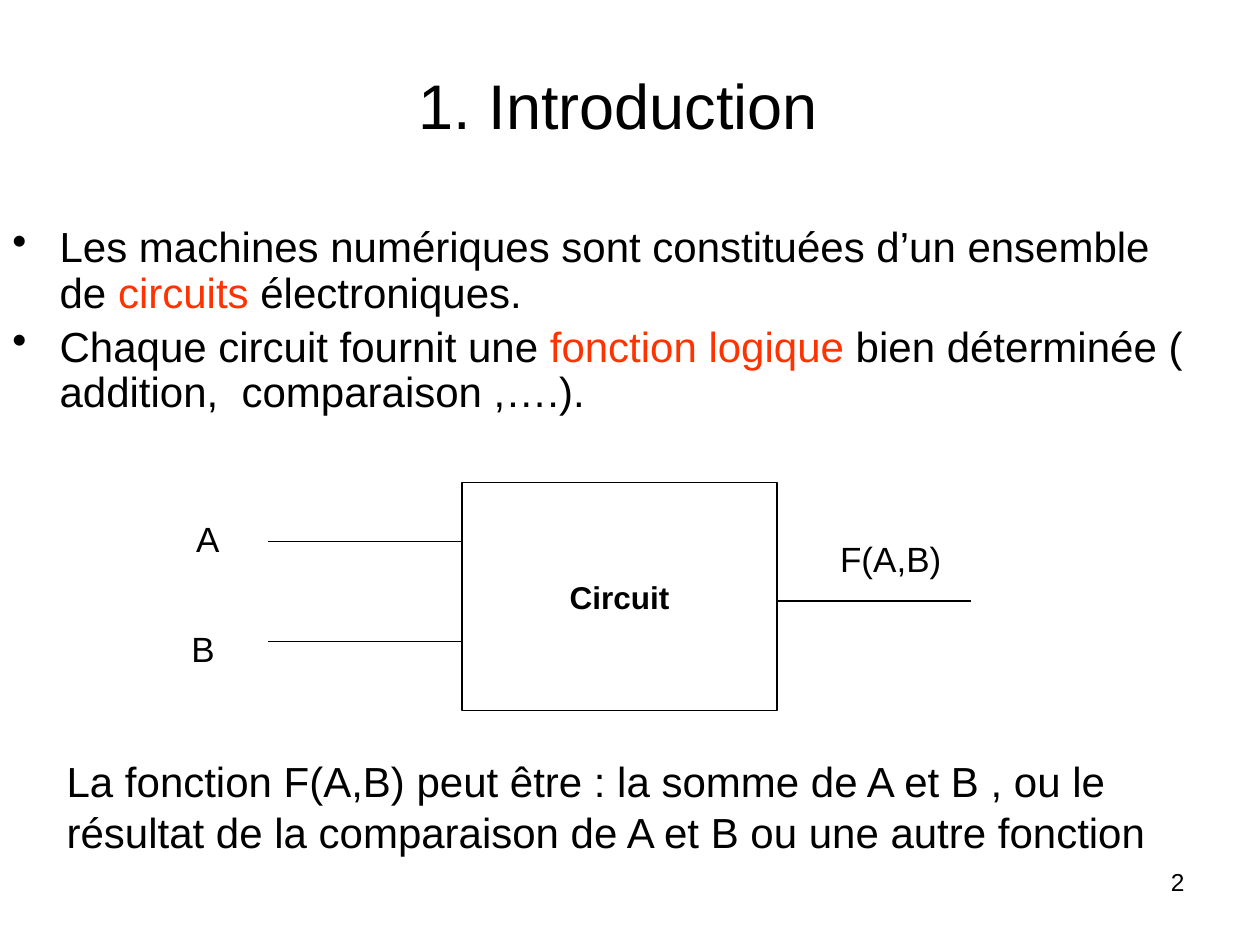
from lxml.etree import SubElement
from pptx import Presentation
from pptx.dml.color import RGBColor
from pptx.enum.shapes import MSO_CONNECTOR, MSO_SHAPE
from pptx.enum.text import MSO_ANCHOR, MSO_AUTO_SIZE, PP_ALIGN
from pptx.oxml.ns import qn
from pptx.util import Pt

BLACK, WHITE, ACCENT = "000000", "FFFFFF", "FF3300"


def colour(value):
    """Turn a hex string into a colour."""
    return RGBColor.from_string(value)


class Page:
    """Holds the style and the current slide, and draws elements in points."""

    def __init__(self, deck, font="Arial", line_width=0.75):
        """Add a blank slide to the deck."""
        self.font = font
        self.line_width = line_width
        self.slide = deck.slides.add_slide(deck.slide_layouts[6])
        self.slide.background.fill.solid()
        self.slide.background.fill.fore_color.rgb = colour(WHITE)

    def span(self, para, text, size, shade=BLACK, bold=False):
        """Add one styled run to a paragraph."""
        span = para.add_run()
        span.text = text
        span.font.name = self.font
        span.font.size = Pt(size)
        span.font.bold = bold
        span.font.color.rgb = colour(shade)

    def text(self, left, top, width, height, spans, align=PP_ALIGN.LEFT,
             anchor=MSO_ANCHOR.TOP, grow=False):
        """Add a text box with one paragraph of (text, size) runs."""
        box = self.slide.shapes.add_textbox(Pt(left), Pt(top), Pt(width), Pt(height))
        frame = box.text_frame
        frame.word_wrap = True
        frame.vertical_anchor = anchor
        frame.auto_size = MSO_AUTO_SIZE.SHAPE_TO_FIT_TEXT if grow else MSO_AUTO_SIZE.NONE
        para = frame.paragraphs[0]
        para.alignment = align
        for text, size in spans:
            self.span(para, text, size)

    def bullets(self, left, top, width, height, items, size, indent=27):
        """Add a bulleted list whose items are lists of (text, colour) runs."""
        box = self.slide.shapes.add_textbox(Pt(left), Pt(top), Pt(width), Pt(height))
        frame = box.text_frame
        frame.word_wrap = True
        for index, item in enumerate(items):
            para = frame.add_paragraph() if index else frame.paragraphs[0]
            properties = para._p.get_or_add_pPr()
            properties.set("marL", str(Pt(indent)))
            properties.set("indent", str(-Pt(indent)))
            SubElement(properties, qn("a:buChar"), char="•")
            para.line_spacing = 0.9
            para.space_before = Pt(0.2 * size if index else 0)
            for text, shade in item:
                self.span(para, text, size, shade)

    def block(self, left, top, width, height, label, size):
        """Add an outlined rectangle with a bold centred label."""
        block = self.slide.shapes.add_shape(
            MSO_SHAPE.RECTANGLE, Pt(left), Pt(top), Pt(width), Pt(height))
        block.shadow.inherit = False
        block.fill.background()
        block.line.color.rgb = colour(BLACK)
        block.line.width = Pt(self.line_width)
        frame = block.text_frame
        frame.word_wrap = False
        frame.vertical_anchor = MSO_ANCHOR.MIDDLE
        para = frame.paragraphs[0]
        para.alignment = PP_ALIGN.CENTER
        self.span(para, label, size, bold=True)

    def wire(self, left, right, height):
        """Add a horizontal line at the given height."""
        wire = self.slide.shapes.add_connector(
            MSO_CONNECTOR.STRAIGHT, Pt(left), Pt(height), Pt(right), Pt(height))
        wire.line.color.rgb = colour(BLACK)
        wire.line.width = Pt(self.line_width)
        SubElement(wire._element.spPr, qn("a:effectLst"))


def main():
    """Build the introduction slide."""
    deck = Presentation()
    deck.slide_width, deck.slide_height = Pt(720), Pt(540)
    page = Page(deck)

    page.text(516, 492, 168, 37.5, [("2", 14)], align=PP_ALIGN.RIGHT)
    page.text(36, 21.6, 648, 67, [("1. Introduction", 36), (" ", 48)],
              align=PP_ALIGN.CENTER, anchor=MSO_ANCHOR.MIDDLE)
    page.bullets(0, 126, 684, 132.5, [
        [("Les machines numériques sont constituées d’un ensemble de ", BLACK),
         ("circuits", ACCENT), (" électroniques.", BLACK)],
        [("Chaque circuit fournit une ", BLACK), ("fonction logique", ACCENT),
         (" bien déterminée ( addition,  comparaison ,….).", BLACK)],
    ], size=24)
    page.text(31, 428.4, 663, 65, [(
        "La fonction F(A,B) peut être : la somme de A et B , ou le résultat "
        "de la comparaison de A et B ou une autre fonction", 24)], grow=True)

    block_left, block_width, wire_length = 264, 180, 111
    block_right = block_left + block_width
    page.block(block_left, 275.8, block_width, 130.3, "Circuit", 18)
    for height in (309.6, 366.5):
        page.wire(block_left - wire_length, block_left, height)
    page.wire(block_right, block_right + wire_length, 343.5)

    for label, left, top, width in (
            ("A", 105, 292.3, 48), ("F(A,B)", 473, 303.8, 104.5), ("B", 102.3, 355, 48)):
        page.text(left, top, width, 31, [(label, 20)], grow=True)

    deck.save("out.pptx")


if __name__ == "__main__":
    main()
